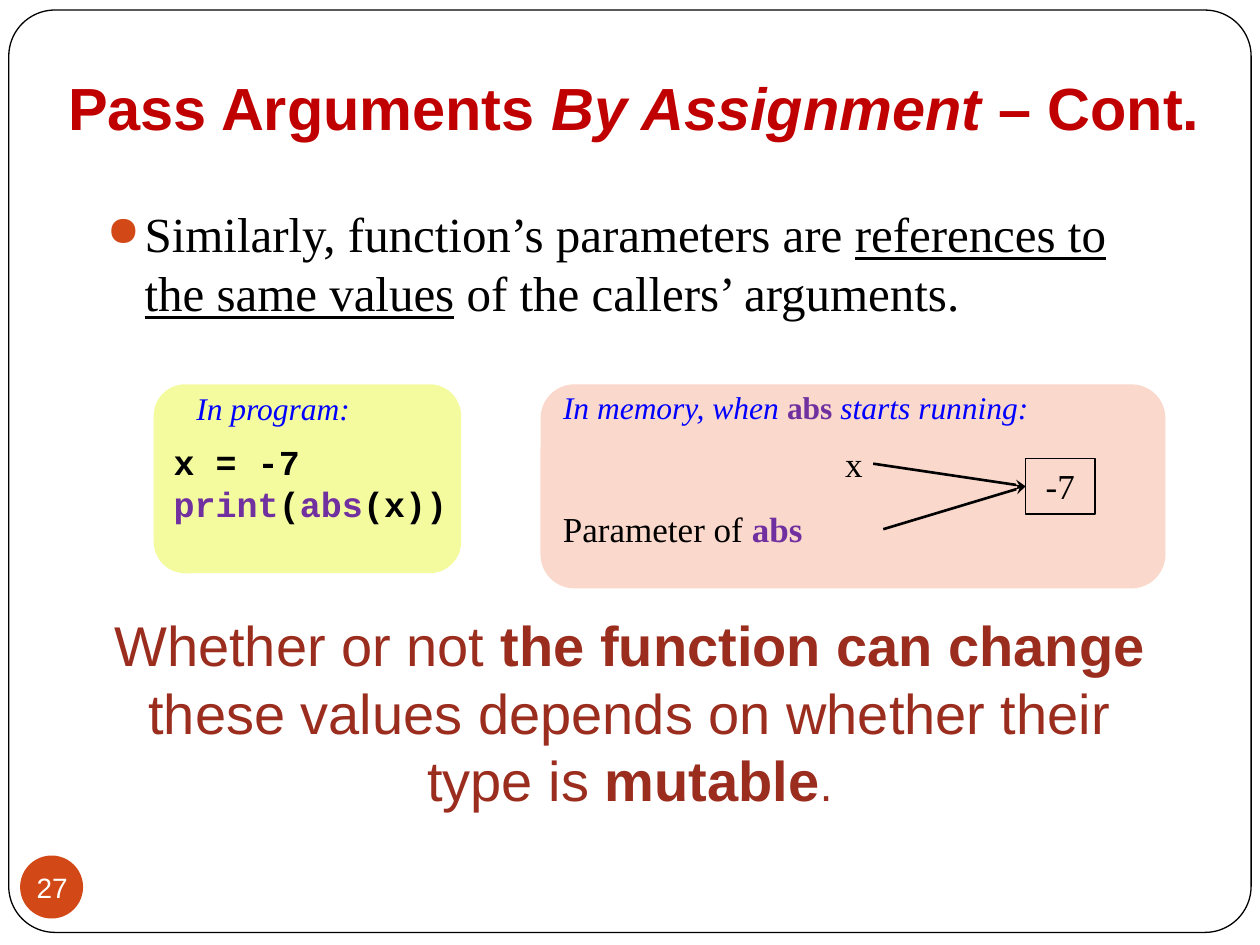
from lxml import etree
from pptx import Presentation
from pptx.dml.color import RGBColor
from pptx.enum.shapes import MSO_CONNECTOR, MSO_SHAPE
from pptx.enum.text import MSO_ANCHOR, PP_ALIGN
from pptx.oxml.ns import qn
from pptx.util import Inches, Pt

ROUNDED, OVAL, RECT = MSO_SHAPE.ROUNDED_RECTANGLE, MSO_SHAPE.OVAL, MSO_SHAPE.RECTANGLE
STRAIGHT = MSO_CONNECTOR.STRAIGHT
LEFT, CENTER = PP_ALIGN.LEFT, PP_ALIGN.CENTER
TOP, MIDDLE, BOTTOM = MSO_ANCHOR.TOP, MSO_ANCHOR.MIDDLE, MSO_ANCHOR.BOTTOM

BLACK = RGBColor(0x00, 0x00, 0x00)
WHITE = RGBColor(0xFF, 0xFF, 0xFF)
RED = RGBColor(0xC0, 0x00, 0x00)
ORANGE = RGBColor(0xD3, 0x48, 0x17)
BROWN = RGBColor(0x9B, 0x2D, 0x1F)
BLUE = RGBColor(0x00, 0x00, 0xFF)
PURPLE = RGBColor(0x70, 0x30, 0xA0)
PINK = RGBColor(0xFA, 0xD8, 0xCB)
YELLOW = RGBColor(0xF4, 0xFB, 0x9F)

SANS, SERIF, MONO = "Arial", "Times New Roman", "Courier New"
COLS, ROWS = 100, 75
ABS = ("abs", {"color": PURPLE, "bold": True, "italic": False})


class SlideBuilder:
    """Draws on one slide; lengths are columns and rows of a 100 x 75 grid."""

    def __init__(self, prs):
        self.cell_w = prs.slide_width / COLS
        self.cell_h = prs.slide_height / ROWS
        self.slide = prs.slides.add_slide(prs.slide_layouts[5])

    def place(self, *lengths):
        return [round(n * (self.cell_h if i % 2 else self.cell_w))
                for i, n in enumerate(lengths)]

    def set_text(self, sp, paragraphs, size, font=SERIF, color=BLACK, align=LEFT,
                 anchor=TOP, **style):
        """Each paragraph is a list of runs: a string or (string, changes)."""
        tf = sp.text_frame
        tf.word_wrap = True
        tf.vertical_anchor = anchor
        for i, runs in enumerate(paragraphs):
            p = tf.add_paragraph() if i else tf.paragraphs[0]
            p.alignment = align
            for run in runs:
                text, changes = (run, {}) if isinstance(run, str) else run
                look = {"size": size, "color": color, **style, **changes}
                r = p.add_run()
                r.text = text
                r.font.name = font
                r.font.size = Pt(look["size"])
                r.font.color.rgb = look["color"]
                r.font.bold = look.get("bold", False)
                r.font.italic = look.get("italic", False)
                r.font.underline = look.get("underline", False)

    def title(self, box, runs, **style):
        sp = self.slide.shapes.title
        sp.left, sp.top, sp.width, sp.height = self.place(*box)
        sp.text_frame.margin_bottom = Inches(0.1)
        self.set_text(sp, [runs], **style)

    def text(self, box, *paragraphs, **style):
        sp = self.slide.shapes.add_textbox(*self.place(*box))
        self.set_text(sp, paragraphs, **style)
        return sp

    def bullet(self, box, runs, **style):
        sp = self.text(box, runs, **style)
        pPr = sp.text_frame.paragraphs[0]._p.get_or_add_pPr()
        pPr.set("marL", str(Inches(0.3)))
        pPr.set("indent", str(-Inches(0.3)))
        color = etree.SubElement(pPr, qn("a:buClr"))
        etree.SubElement(color, qn("a:srgbClr"), val=str(ORANGE))
        etree.SubElement(pPr, qn("a:buSzPct"), val="85000")
        etree.SubElement(pPr, qn("a:buChar"), char="●")

    def shape(self, kind, box, fill=None, line=None, radius=None):
        sp = self.slide.shapes.add_shape(kind, *self.place(*box))
        sp.shadow.inherit = False
        if fill is None:
            sp.fill.background()
        else:
            sp.fill.solid()
            sp.fill.fore_color.rgb = fill
        if line is None:
            sp.line.fill.background()
        else:
            sp.line.color.rgb = line
            sp.line.width = Pt(0.75)
        if radius is not None:
            sp.adjustments[0] = radius
        return sp

    def arrow(self, start, end):
        cx = self.slide.shapes.add_connector(STRAIGHT, *self.place(*start, *end))
        cx.line.color.rgb = BLACK
        cx.line.width = Pt(1.5)
        spPr = cx._element.spPr
        etree.SubElement(spPr.find(qn("a:ln")), qn("a:tailEnd"), type="stealth")
        etree.SubElement(spPr, qn("a:effectLst"))


def main():
    prs = Presentation()
    prs.slide_width, prs.slide_height = Inches(10), Inches(7.5)
    s = SlideBuilder(prs)

    # Frame and page number
    frame = s.shape(ROUNDED, (0.7, 0.8, 98.6, 73.2), WHITE, BLACK, radius=0.05)
    tree = s.slide.shapes._spTree
    tree.remove(frame._element)
    tree.insert(2, frame._element)  # behind the title
    s.shape(OVAL, (1.6, 67.9, 5, 5), ORANGE)
    s.text((0.8, 67.9, 6.7, 5), ["27"], size=16, font=SANS, color=WHITE,
           align=CENTER, anchor=MIDDLE)

    # Title and statement
    s.title((4.4, 2.9, 92.4, 9.4),
            ["Pass Arguments ", ("By Assignment ", {"italic": True}), "– Cont."],
            size=34, font=SANS, color=RED, bold=True, anchor=BOTTOM)
    s.bullet((7.5, 15.7, 85, 11),
             ["Similarly, function’s parameters are ",
              ("references to the same values", {"underline": True}),
              " of the callers’ arguments."], size=28)

    # Panels with their headings
    s.shape(ROUNDED, (42.9, 30.5, 49.6, 16.2), PINK)
    s.shape(ROUNDED, (12.2, 30.5, 24.4, 15), YELLOW)
    heading = {"size": 18, "color": BLUE, "italic": True}
    s.text((14.6, 30.4, 18.1, 4), ["In program:"], **heading)
    s.text((43.7, 30.3, 44.9, 4),
           ["In memory, when ", ABS, " starts running:"], **heading)

    # Program
    keyword = {"color": PURPLE}
    s.text((12.8, 34.5, 23.9, 7.7), ["x = -7"],
           [("print", keyword), "(", ("abs", keyword), "(x))"],
           size=20, font=MONO, bold=True)

    # Memory: two names refer to one value
    value = s.shape(RECT, (81.4, 36.4, 5.5, 4.4), line=BLACK)
    s.set_text(value, [["-7"]], size=20, align=CENTER)
    s.text((66.1, 34.6, 3.1, 4.4), ["x"], size=20)
    s.text((43.7, 39.8, 26.4, 4.4), ["Parameter of ", ABS], size=20)
    for start in ((69.3, 36.8), (70.1, 42)):
        s.arrow(start, (81.4, 38.6))

    # Conclusion
    strong = {"bold": True}
    s.text((7.5, 48, 85, 17),
           ["Whether or not ", ("the function can change", strong),
            " these values depends on whether their type is ",
            ("mutable", strong), (".", {"size": 26})],
           size=32, font=SANS, color=BROWN, align=CENTER)

    prs.save("out.pptx")


if __name__ == "__main__":
    main()
